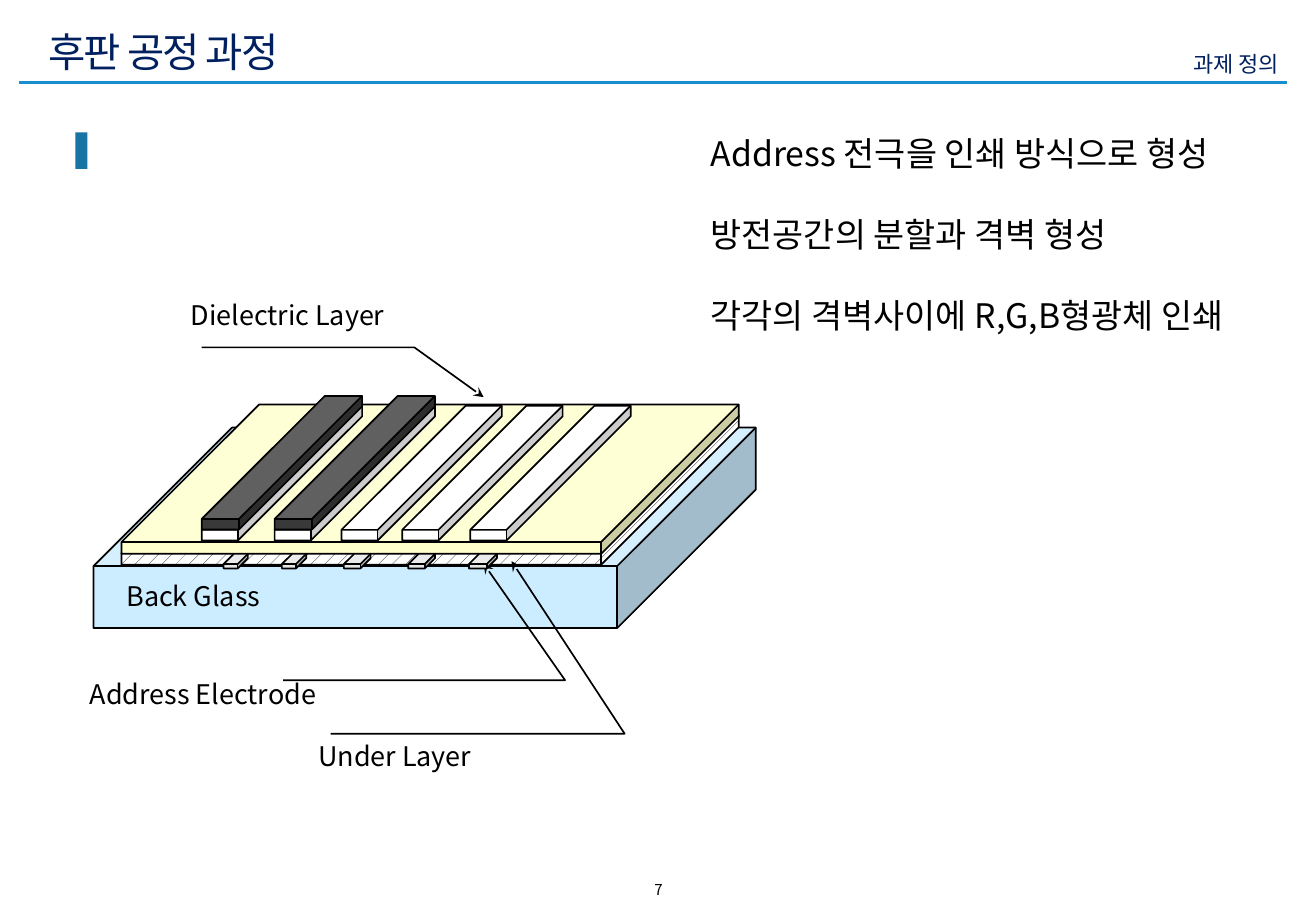
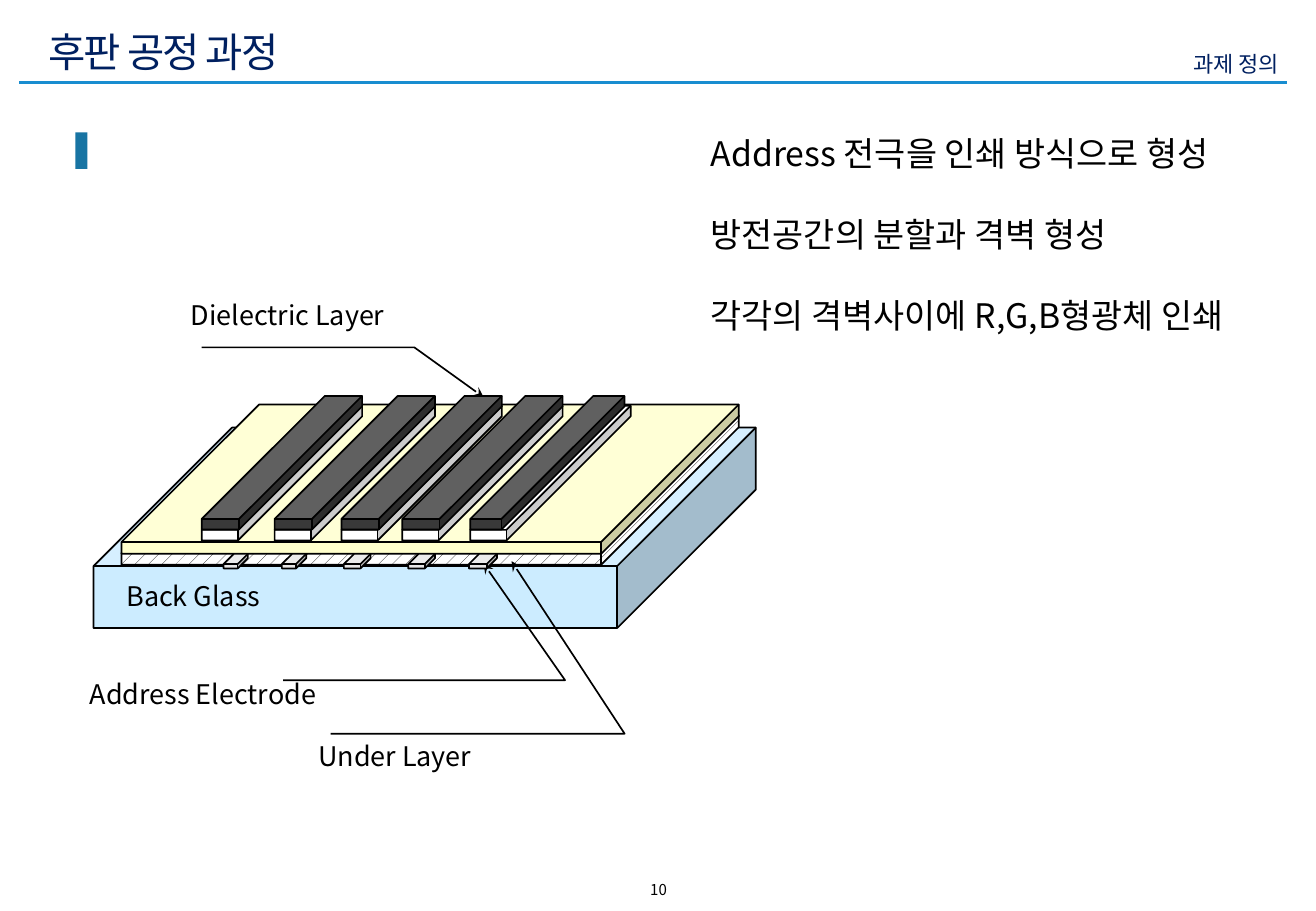
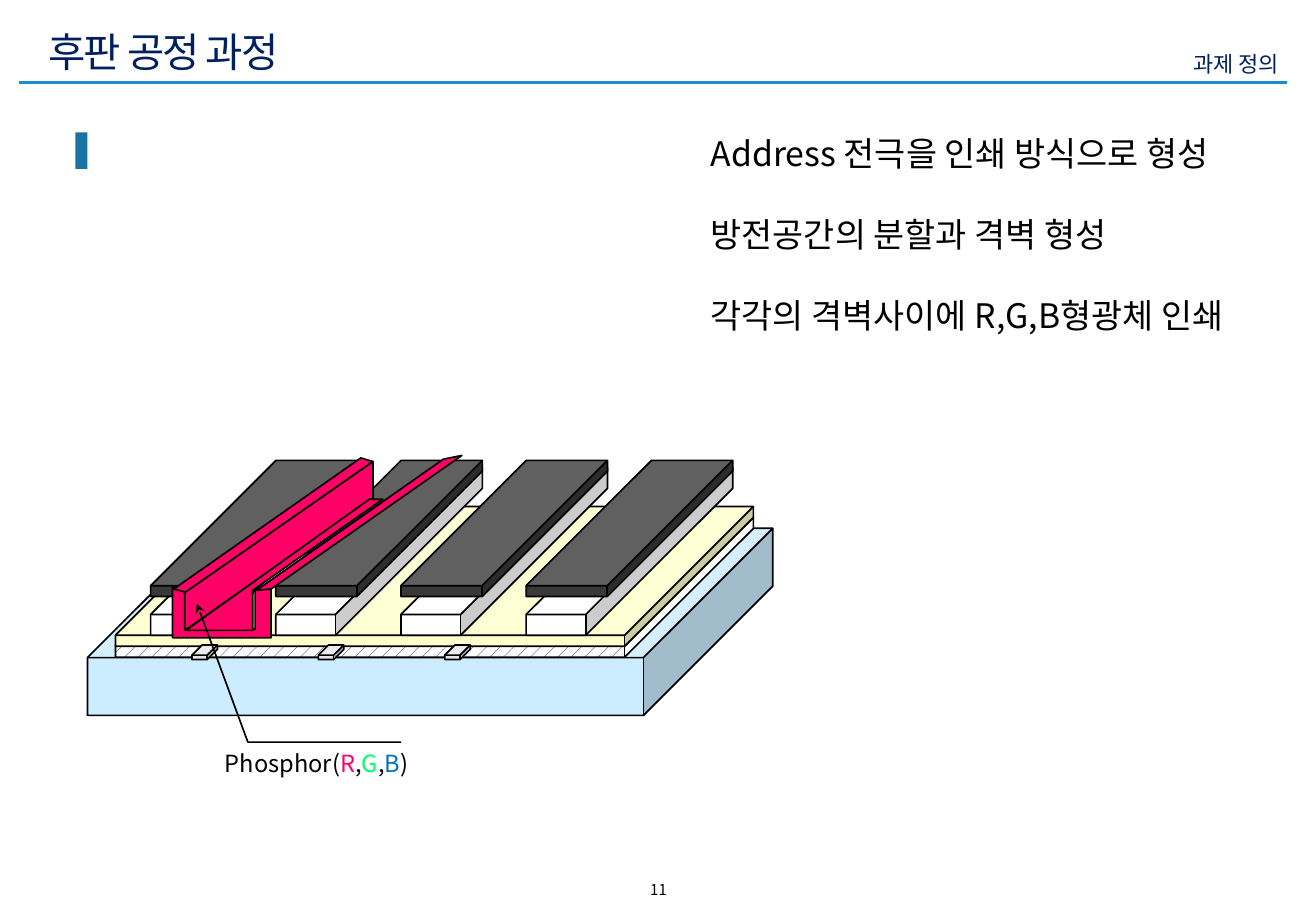
from lxml.etree import SubElement
from pptx import Presentation
from pptx.dml.color import RGBColor
from pptx.enum.dml import MSO_PATTERN
from pptx.enum.shapes import MSO_CONNECTOR, MSO_SHAPE
from pptx.enum.text import MSO_ANCHOR, PP_ALIGN
from pptx.oxml.ns import qn
from pptx.util import Inches, Pt

FONT = "Noto Sans CJK KR"
BLACK = RGBColor(0x00, 0x00, 0x00)
WHITE = RGBColor(0xFF, 0xFF, 0xFF)
NAVY = RGBColor(0x00, 0x20, 0x60)
RULE_BLUE = RGBColor(0x18, 0x8D, 0xD0)
ACCENT = RGBColor(0x18, 0x74, 0xA3)
GLASS = RGBColor(0xCC, 0xEC, 0xFF)
DIELECTRIC = RGBColor(0xFF, 0xFF, 0xCC)
ELECTRODE = RGBColor(0xE7, 0xE6, 0xE6)
RIB_TOP = RGBColor(0x39, 0x39, 0x39)
RED = RGBColor(0xFF, 0x00, 0x66)
GREEN = RGBColor(0x00, 0xFF, 0x66)
BLUE = RGBColor(0x00, 0x70, 0xC0)

TITLE = "후판 공정 과정"
SECTION = "과제 정의"
STEPS = ["Address 전극을 인쇄 방식으로 형성",
         "방전공간의 분할과 격벽 형성",
         "각각의 격벽사이에 R,G,B형광체 인쇄"]

# Panel with five ribs: left edges, then (left, width) of the electrodes
RIBS = [1.66, 2.26, 2.81, 3.31, 3.87]
ELECTRODES = [(1.84, 0.2), (2.32, 0.2), (2.83, 0.22), (3.36, 0.22), (3.86, 0.23)]
LABELS = [("Dielectric Layer", 1.55, 2.48), ("Back Glass", 1.02, 4.79),
          ("Address Electrode", 0.72, 5.6), ("Under Layer", 2.6, 6.11)]
DIELECTRIC_LEADER = [(3.98, 3.27), (3.41, 2.86), (1.66, 2.86)]
ELECTRODE_LEADER = [(3.98, 4.64), (4.65, 5.6), (2.33, 5.6)]
UNDER_LEADER = [(4.21, 4.62), (5.14, 6.04), (2.72, 6.04)]

# Close-up with four ribs and one channel filled with phosphor
WIDE_RIBS = [1.24 + 1.03 * i for i in range(4)]
WIDE_ELECTRODES = [1.58 + 1.04 * i for i in range(3)]
PHOSPHOR = [
    [(1.42, 4.83), (1.55, 4.86), (1.55, 5.18), (2.1, 5.18), (2.1, 4.86),
     (2.23, 4.84), (2.23, 5.25), (1.42, 5.25)],
    [(1.55, 4.88), (1.43, 4.85), (2.97, 3.77), (3.07, 3.8), (1.52, 4.88)],
    [(3.8, 3.75), (3.65, 3.78), (2.11, 4.86), (2.23, 4.85)],
    [(3.07, 3.8), (3.07, 4.1), (1.52, 5.19), (1.52, 4.88)],
    [(3.04, 4.11), (3.15, 4.11), (2.08, 4.86), (2.08, 5.19), (1.53, 5.19)],
]
PHOSPHOR_LEADER = [(1.62, 4.97), (2.04, 6.11), (3.3, 6.11)]
PHOSPHOR_LABEL = [("Phosphor(", BLACK), ("R", RED), (",", BLACK), ("G", GREEN),
                  (",", BLACK), ("B", BLUE), (")", BLACK)]


def add_text(s, box, paragraphs, size, color=BLACK, leading=1.2, gap=0,
             align=PP_ALIGN.LEFT, inset=(0.1, 0.05), anchor=MSO_ANCHOR.TOP,
             spacing=None):
    """Each paragraph is a string or a list of (text, colour) runs."""
    tf = s.shapes.add_textbox(*map(Inches, box)).text_frame
    tf.word_wrap = True
    tf.vertical_anchor = anchor
    tf.margin_left = tf.margin_right = Inches(inset[0])
    tf.margin_top = tf.margin_bottom = Inches(inset[1])
    for i, content in enumerate(paragraphs):
        p = tf.add_paragraph() if i else tf.paragraphs[0]
        p.alignment = align
        if leading:
            p.line_spacing = Pt(size * leading)
        if i:
            p.space_before = Pt(gap)
        p.font.size, p.font.name = Pt(size), FONT
        if isinstance(content, str):
            p.font.color.rgb = color
            p.add_run().text = content
        else:
            for text, run_color in content:
                r = p.add_run()
                r.text = text
                r.font.color.rgb = run_color
        props = p._p.pPr.find(qn("a:defRPr"))
        SubElement(props, qn("a:ea")).set("typeface", FONT)
        if spacing is not None:
            props.set("spc", str(spacing))


def outline(sp):
    sp.shadow.inherit = False
    sp.line.color.rgb = BLACK
    sp.line.width = Pt(1)


def add_cube(s, x, y, w, h, depth, color=None):
    """A cube without a colour gets the dotted under-layer pattern."""
    sp = s.shapes.add_shape(MSO_SHAPE.CUBE, *map(Inches, (x, y, w, h)))
    sp.adjustments[0] = depth
    if color is None:
        sp.fill.patterned()
        sp.fill.pattern = MSO_PATTERN.PERCENT_10
        sp.fill.fore_color.rgb = BLACK
        sp.fill.back_color.rgb = WHITE
    else:
        sp.fill.solid()
        sp.fill.fore_color.rgb = color
    outline(sp)


def add_path(s, points, close):
    start, *rest = [(Inches(x), Inches(y)) for x, y in points]
    builder = s.shapes.build_freeform(*start, scale=1.0)
    builder.add_line_segments(rest, close=close)
    sp = builder.convert_to_shape()
    outline(sp)
    return sp


def add_leader(s, points):
    """Bent line with its arrowhead on the first point."""
    sp = add_path(s, points, close=False)
    sp.fill.background()
    SubElement(sp.line._get_or_add_ln(), qn("a:headEnd")).set("type", "stealth")


def add_label(s, content, x, y, size=16):
    add_text(s, (x, y, 2.42, 0.31), [content], size, leading=1.06, inset=(0.02, 0.01))


def add_page(prs, number):
    s = prs.slides.add_slide(prs.slide_layouts[6])
    rule = s.shapes.add_connector(MSO_CONNECTOR.STRAIGHT,
                                  *map(Inches, (0.16, 0.68, 10.59, 0.68)))
    rule.line.color.rgb = RULE_BLUE
    rule.line.width = Pt(2)
    SubElement(rule._element.spPr, qn("a:effectLst"))
    add_text(s, (4.39, 7.2, 2.06, 0.25), [str(number)], 8.9, align=PP_ALIGN.CENTER)
    add_text(s, (6.55, 0.37, 4.07, 0.3), [SECTION], 13, NAVY, align=PP_ALIGN.RIGHT)
    add_text(s, (0.3, 0.17, 8.51, 0.5), [TITLE], 24, NAVY, leading=None,
             inset=(0.1, 0), anchor=MSO_ANCHOR.MIDDLE, spacing=-100)
    marker = s.shapes.add_shape(MSO_SHAPE.RECTANGLE,
                                *map(Inches, (0.62, 1.09, 0.1, 0.3)))
    marker.shadow.inherit = False
    marker.fill.solid()
    marker.fill.fore_color.rgb = ACCENT
    marker.line.fill.background()
    add_text(s, (5.75, 1.04, 5.08, 1.78), STEPS, 20, gap=24)
    return s


def draw_panel(s, printed):
    """Panel on which the first `printed` ribs have their dark top."""
    add_cube(s, 0.77, 3.52, 5.45, 1.65, 0.691, GLASS)
    add_cube(s, 1, 3.42, 5.08, 1.23, 0.921)
    add_leader(s, DIELECTRIC_LEADER)
    add_leader(s, ELECTRODE_LEADER)
    add_cube(s, 1, 3.33, 5.08, 1.23, 0.921, DIELECTRIC)
    for x, w in ELECTRODES:
        add_cube(s, x, 4.56, w, 0.12, 0.7, ELECTRODE)
    add_leader(s, UNDER_LEADER)
    for label in LABELS:
        add_label(s, *label)
    for x in RIBS:
        add_cube(s, x, 3.34, 1.32, 1.11, 0.921, WHITE)
    for x in RIBS[:printed]:
        add_cube(s, x, 3.26, 1.27 if x == RIBS[-1] else 1.32, 1.1, 0.921, RIB_TOP)


def draw_close_up(s):
    add_cube(s, 0.72, 4.35, 5.64, 1.54, 0.691, GLASS)
    add_cube(s, 0.95, 4.26, 5.25, 1.15, 0.921)
    add_cube(s, 0.95, 4.17, 5.25, 1.15, 0.921, DIELECTRIC)
    for x in WIDE_ELECTRODES:
        add_cube(s, x, 5.31, 0.21, 0.12, 0.7, ELECTRODE)
    for x in WIDE_RIBS:
        add_cube(s, x, 3.85, 1.7, 1.38, 0.876, WHITE)
        add_cube(s, x, 3.79, 1.7, 1.12, 0.921, RIB_TOP)
    for points in PHOSPHOR:
        sp = add_path(s, points, close=True)
        sp.fill.solid()
        sp.fill.fore_color.rgb = RED
    add_leader(s, PHOSPHOR_LEADER)
    add_label(s, PHOSPHOR_LABEL, 1.83, 6.18, size=14)


def main():
    prs = Presentation()
    prs.slide_width, prs.slide_height = Inches(10.83), Inches(7.5)
    draw_panel(add_page(prs, 7), printed=2)
    draw_panel(add_page(prs, 10), printed=5)
    draw_close_up(add_page(prs, 11))
    prs.save("out.pptx")


if __name__ == "__main__":
    main()
